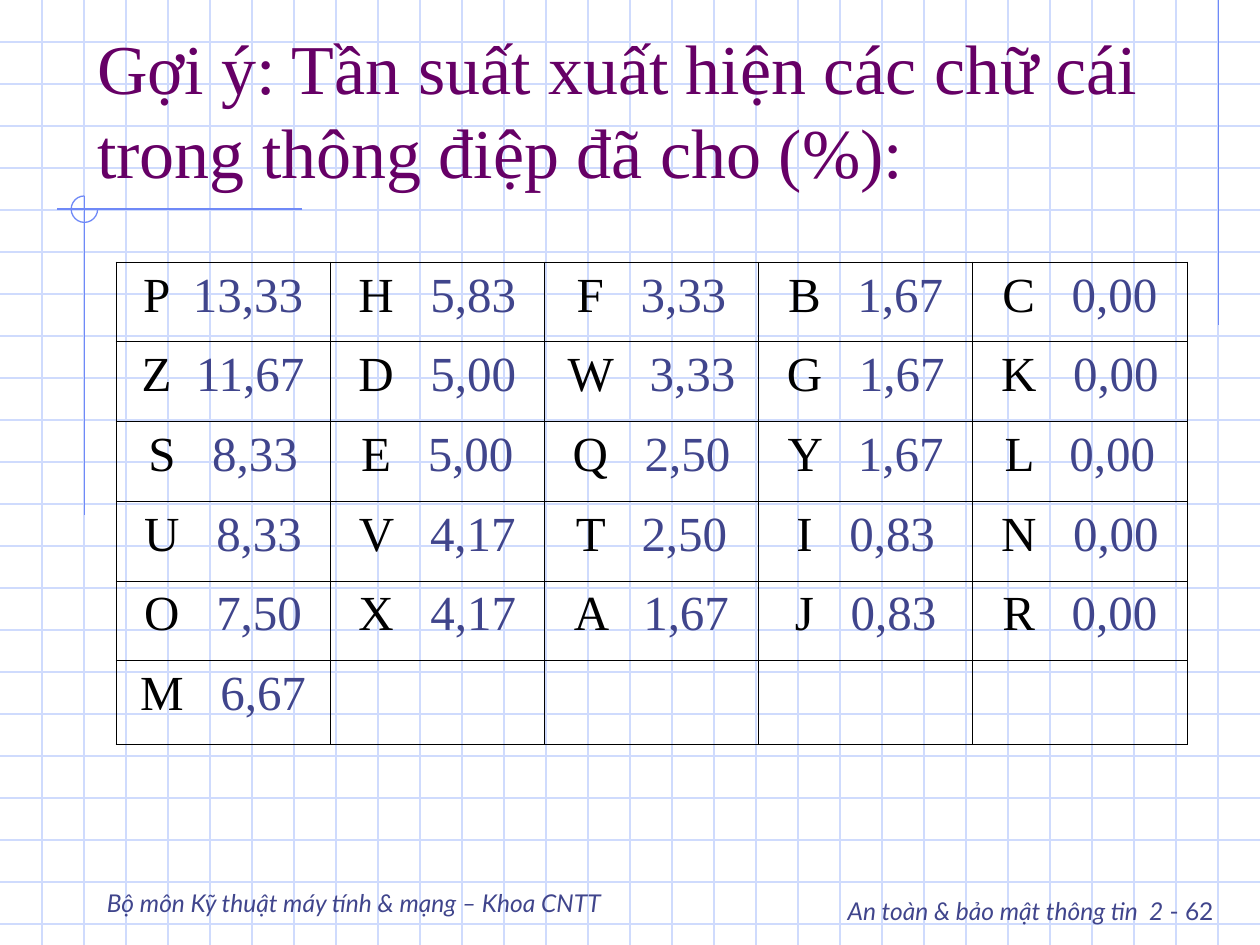
import dataclasses

import lxml.etree
import pptx
import pptx.dml.color
import pptx.enum.shapes
import pptx.enum.text
import pptx.oxml.ns
import pptx.util
from pptx.util import Inches

Align = pptx.enum.text.PP_ALIGN
Anchor = pptx.enum.text.MSO_ANCHOR


@dataclasses.dataclass(frozen=True)
class Theme:
    grid: str = "CFDBFD"
    accent: str = "6F89F7"
    title: str = "660066"
    letter: str = "000000"
    value: str = "40458C"
    border: str = "000000"
    serif: str = "Times New Roman"
    sans: str = "Lato"
    title_size: int = 40
    table_size: int = 28
    footer_size: int = 14
    gap_size: int = 24
    line_width: float = 0.75
    border_width: float = 0.45
    letter_spacing: int = 7
    wide_value_spacing: float = 3.5


THEME = Theme()

FREQUENCIES = [
    ["P 13,33", "H 5,83", "F 3,33", "B 1,67", "C 0,00"],
    ["Z 11,67", "D 5,00", "W 3,33", "G 1,67", "K 0,00"],
    ["S 8,33", "E 5,00", "Q 2,50", "Y 1,67", "L 0,00"],
    ["U 8,33", "V 4,17", "T 2,50", "I 0,83", "N 0,00"],
    ["O 7,50", "X 4,17", "A 1,67", "J 0,83", "R 0,00"],
    ["M 6,67"],
]


def color(value):
    return pptx.dml.color.RGBColor.from_string(value)


def add_run(paragraph, text, *, font, size, fill, italic=False, spacing=None):
    run = paragraph.add_run()
    run.text = text
    run.font.name = font
    run.font.size = pptx.util.Pt(size)
    run.font.italic = italic
    run.font.color.rgb = color(fill)
    if spacing is not None:
        run.font._element.set("spc", str(int(spacing * 100)))


def style_line(line, fill):
    line.color.rgb = color(fill)
    line.width = pptx.util.Pt(THEME.line_width)


def add_line(shapes, start, end, fill):
    connector = shapes.add_connector(
        pptx.enum.shapes.MSO_CONNECTOR.STRAIGHT,
        *(Inches(length) for length in (*start, *end)))
    style_line(connector.line, fill)
    properties = connector.element.spPr
    lxml.etree.SubElement(properties, pptx.oxml.ns.qn("a:effectLst"))


def place(shape, left, top, width, height):
    shape.left, shape.top = Inches(left), Inches(top)
    shape.width, shape.height = Inches(width), Inches(height)


def add_grid(slide, left, top, width, height):
    shapes = slide.shapes.add_group_shape().shapes
    step = 1 / 3
    for index in range(1, int(height / step) + 1):
        y = top + index * step
        add_line(shapes, (left, y), (left + width, y), THEME.grid)
    for index in range(1, round(width / step)):
        x = left + index * step
        add_line(shapes, (x, top), (x, top + height), THEME.grid)


def add_ornament(slide, left, top, width, height):
    shapes = slide.shapes.add_group_shape().shapes
    right, center_x, center_y = left + width, left + 0.22, top + 1.66
    radius = 0.105
    add_line(shapes, (right, top), (right, top + 2.58), THEME.accent)
    add_line(shapes, (left + 1.95, center_y), (left, center_y), THEME.accent)
    add_line(shapes, (center_x, center_y - radius),
             (center_x, top + height), THEME.accent)
    arc = shapes.add_shape(
        pptx.enum.shapes.MSO_SHAPE.ARC,
        Inches(center_x - radius), Inches(center_y - radius),
        Inches(2 * radius), Inches(2 * radius))
    arc.adjustments[0] = 0
    arc.adjustments[1] = 162
    arc.shadow.inherit = False
    arc.fill.background()
    style_line(arc.line, THEME.accent)


def add_title(slide, left, top, width, height):
    title = slide.shapes.title
    place(title, left, top, width, height)
    frame = title.text_frame
    frame.auto_size = pptx.enum.text.MSO_AUTO_SIZE.NONE
    frame.word_wrap = True
    frame.vertical_anchor = Anchor.BOTTOM
    paragraph = frame.paragraphs[0]
    paragraph.alignment = Align.LEFT
    add_run(paragraph,
            "Gợi ý: Tần suất xuất hiện các chữ cái trong thông điệp đã cho (%):",
            font=THEME.serif, size=THEME.title_size, fill=THEME.title)
    title.element.getparent().append(title.element)


def add_footer_box(slide, box, alignment, anchor, pieces):
    shape = slide.shapes.add_textbox(*(Inches(length) for length in box))
    frame = shape.text_frame
    frame.word_wrap = True
    frame.vertical_anchor = anchor
    paragraph = frame.paragraphs[0]
    paragraph.alignment = alignment
    for text, size, italic in pieces:
        add_run(paragraph, text, font=THEME.sans, size=size,
                fill=THEME.value, italic=italic)


def add_footer(slide, left, top, width, height):
    size = THEME.footer_size
    split = 5.58
    add_footer_box(
        slide, (left + split, top + 0.09, width - split, height),
        Align.RIGHT, Anchor.TOP,
        [("An toàn & bảo mật thông tin", size, True),
         (" ", THEME.gap_size, False),
         ("2", size, True), (" - 62", size, False)])
    add_footer_box(
        slide, (left, top, split, height), Align.LEFT, Anchor.BOTTOM,
        [("Bộ môn Kỹ thuật máy tính & mạng – Khoa CNTT", size, True)])


def add_borders(cell):
    properties = cell._tc.get_or_add_tcPr()
    for index, side in enumerate(("a:lnL", "a:lnR", "a:lnT", "a:lnB")):
        line = lxml.etree.Element(
            pptx.oxml.ns.qn(side), w=str(pptx.util.Pt(THEME.border_width)))
        fill = lxml.etree.SubElement(line, pptx.oxml.ns.qn("a:solidFill"))
        lxml.etree.SubElement(
            fill, pptx.oxml.ns.qn("a:srgbClr"), val=THEME.border)
        properties.insert(index, line)


def add_frequency_table(slide, left, top, width, height):
    columns = len(FREQUENCIES[0])
    rows = len(FREQUENCIES)
    table = slide.shapes.add_table(
        rows, columns, Inches(left), Inches(top),
        Inches(width), Inches(height)).table
    table.first_row = table.horz_banding = False
    row_height = 0.633
    for row in table.rows:
        row.height = Inches(row_height)
    table.rows[rows - 1].height = Inches(height - row_height * (rows - 1))
    for cell in table.iter_cells():
        cell.fill.background()
        add_borders(cell)
    for row_index, entries in enumerate(FREQUENCIES):
        for column_index, entry in enumerate(entries):
            letter, value = entry.split()
            paragraph = table.cell(row_index, column_index).text_frame.paragraphs[0]
            paragraph.alignment = Align.CENTER
            spacing = (THEME.wide_value_spacing if len(value) > 4
                       else THEME.letter_spacing)
            add_run(paragraph, letter + " ", font=THEME.serif,
                    size=THEME.table_size, fill=THEME.letter, spacing=spacing)
            add_run(paragraph, value, font=THEME.serif,
                    size=THEME.table_size, fill=THEME.value)


def main():
    presentation = pptx.Presentation()
    presentation.slide_width, presentation.slide_height = Inches(10), Inches(7.5)
    slide = presentation.slides.add_slide(presentation.slide_layouts[5])
    add_grid(slide, 0, 0, 10, 7.5)
    add_ornament(slide, 0.45, 0, 9.22, 4.09)
    add_footer(slide, 0.75, 6.83, 8.98, 0.5)
    add_title(slide, 0.67, 0.33, 8.5, 1.25)
    add_frequency_table(slide, 0.92, 2.08, 8.5, 3.83)
    presentation.save("out.pptx")


if __name__ == "__main__":
    main()
